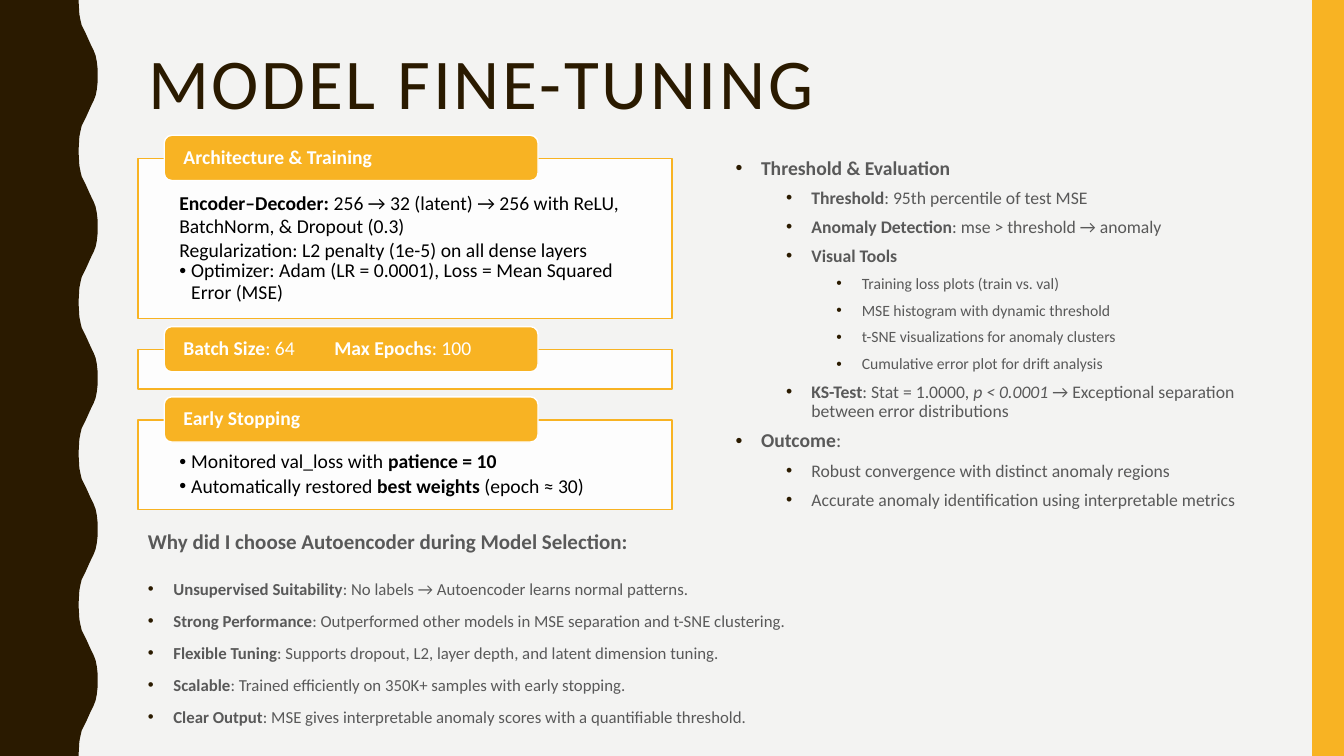
import itertools
from dataclasses import dataclass

import pptx
import pptx.dml.color
import pptx.enum.shapes
import pptx.enum.text
import pptx.oxml
import pptx.oxml.ns
import pptx.util
from pptx.util import Cm

COLORS = {
    "background": "F3F3F2",
    "brown": "2A1A00",
    "amber": "F8B323",
    "white": "FFFFFF",
    "black": "000000",
    "gray": "595959",
}
FONT = "Calibri"
NS = 'xmlns:a="http://schemas.openxmlformats.org/drawingml/2006/main"'
SHAPES = pptx.enum.shapes.MSO_SHAPE
ANCHOR = pptx.enum.text.MSO_ANCHOR

SLIDE_W, SLIDE_H = 33.87, 19.05
LEFT, COLUMN_W = 3.48, 13.46
PANEL_TOP, PANEL_GAP = 3.99, 0.78
TAB_LEFT, TAB_W, TAB_H, TAB_RISE = 4.14, 9.42, 1.14, 0.58
WAVE_PERIOD = 3.81
WAVE_RISE = [
    (1.98, 0), (1.99, 0.18), (2.0, 0.36), (2.03, 0.51), (2.06, 0.64),
    (2.11, 0.74), (2.16, 0.84), (2.21, 0.95), (2.26, 1.06), (2.31, 1.17),
    (2.36, 1.27), (2.41, 1.4), (2.44, 1.55), (2.46, 1.73), (2.46, 1.9),
]


@dataclass
class Run:
    text: str
    bold: bool = False
    italic: bool = False


@dataclass
class Line:
    runs: list[Run]
    level: int = 0
    bullet: bool = True
    size: float = 14
    spacing: float = 0.9
    before: float = 0
    after: float = 0


@dataclass
class Style:
    color: str
    bullet_color: str
    hang: float
    step: float = 1.27


@dataclass
class Panel:
    heading: list[Run]
    height: float
    body: list[Line]


def labelled(label: str, rest: str) -> list[Run]:
    return [Run(label, bold=True), Run(rest)]


def rgb(name: str) -> pptx.dml.color.RGBColor:
    return pptx.dml.color.RGBColor.from_string(COLORS[name])


def add_xml(parent, xml: str) -> None:
    parent.append(pptx.oxml.parse_xml(xml))


def paint(sp, fill: str, line: str | None = None) -> None:
    sp.shadow.inherit = False
    sp.fill.solid()
    sp.fill.fore_color.rgb = rgb(fill)
    if line:
        sp.line.color.rgb = rgb(line)
        sp.line.width = pptx.util.Pt(1)
    else:
        sp.line.fill.background()


def set_frame(tf, margins: tuple, anchor=ANCHOR.TOP) -> None:
    tf.word_wrap = True
    tf.vertical_anchor = anchor
    tf.margin_left, tf.margin_top, tf.margin_right, tf.margin_bottom = map(Cm, margins)


def write(tf, lines: list[Line], style: Style) -> None:
    for i, line in enumerate(lines):
        p = tf.paragraphs[0] if i == 0 else tf.add_paragraph()
        p.alignment = pptx.enum.text.PP_ALIGN.LEFT
        p.level = line.level
        p.line_spacing = line.spacing
        p.space_before = pptx.util.Pt(line.before)
        p.space_after = pptx.util.Pt(line.after)
        if line.bullet:
            ppr = p._p.get_or_add_pPr()
            ppr.set("marL", str(Cm(style.hang + style.step * line.level)))
            ppr.set("indent", str(-Cm(style.hang)))
            add_xml(ppr, f'<a:buClr {NS}><a:srgbClr val="{COLORS[style.bullet_color]}"/></a:buClr>')
            add_xml(ppr, f'<a:buFont {NS} typeface="Arial"/>')
            add_xml(ppr, f'<a:buChar {NS} char="•"/>')
        for run in line.runs:
            r = p.add_run()
            r.text = run.text
            r.font.name = FONT
            r.font.size = pptx.util.Pt(line.size)
            r.font.bold = run.bold
            r.font.italic = run.italic
            r.font.color.rgb = rgb(style.color)


def add_text(s, box: tuple, lines: list[Line], style: Style) -> None:
    tf = s.shapes.add_textbox(*map(Cm, box)).text_frame
    set_frame(tf, (0.25, 0.13, 0.25, 0.13))
    write(tf, lines, style)


def add_panel(s, panel: Panel, top: float) -> None:
    sp = s.shapes.add_shape(SHAPES.RECTANGLE, *map(Cm, (LEFT, top, COLUMN_W, panel.height)))
    paint(sp, "white", "amber")
    color = sp.fill._xPr.find(".//" + pptx.oxml.ns.qn("a:srgbClr"))
    add_xml(color, f'<a:alpha {NS} val="90000"/>')
    set_frame(sp.text_frame, (1.04, 0.81, 1.04, 0.28))
    write(sp.text_frame, panel.body, Style("black", "black", 0.3))

    tab = s.shapes.add_shape(
        SHAPES.ROUNDED_RECTANGLE, *map(Cm, (TAB_LEFT, top - TAB_RISE, TAB_W, TAB_H)))
    paint(tab, "amber", "white")
    set_frame(tab.text_frame, (0.43, 0, 0.43, 0), ANCHOR.MIDDLE)
    write(tab.text_frame, [Line(panel.heading, bullet=False)], Style("white", "white", 0))
    if any("\t" in run.text for run in panel.heading):
        ppr = tab.text_frame.paragraphs[0]._p.get_or_add_pPr()
        add_xml(ppr, f'<a:tabLst {NS}><a:tab pos="{Cm(3.8)}" algn="l"/></a:tabLst>')


def add_wave(s) -> None:
    cycle = WAVE_RISE + [(x, WAVE_PERIOD - y) for x, y in reversed(WAVE_RISE[:-1])]
    edge = [(x, y + n * WAVE_PERIOD) for n in range(5) for x, y in cycle]
    builder = s.shapes.build_freeform(0, 0)
    builder.add_line_segments([(Cm(x), Cm(y)) for x, y in edge + [(0, SLIDE_H)]])
    paint(builder.convert_to_shape(), "brown")


def add_title(s, text: str) -> None:
    title = s.shapes.title
    title.left, title.top, title.width, title.height = map(Cm, (LEFT, 1.07, 28.27, 4.14))
    tf = title.text_frame
    set_frame(tf, (0.25, 0.13, 0.25, 0.13))
    tf.auto_size = pptx.enum.text.MSO_AUTO_SIZE.NONE
    write(tf, [Line([Run(text)], bullet=False, size=51)], Style("brown", "brown", 0))
    tf.paragraphs[0].runs[0].font._element.set("spc", "200")


PANELS = [
    Panel([Run("Architecture & Training", bold=True)], 4.04, [
        Line(labelled("Encoder–Decoder: ",
                      "256 → 32 (latent) → 256 with ReLU, BatchNorm, & Dropout (0.3)"),
             bullet=False, spacing=1),
        Line([Run("Regularization: L2 penalty (1e-5) on all dense layers")], bullet=False, spacing=1),
        Line([Run("Optimizer: Adam (LR = 0.0001), Loss = Mean Squared Error (MSE)")], after=2.1),
    ]),
    Panel(labelled("Batch Size", ": 64\t") + labelled("Max Epochs", ": 100"), 0.99, []),
    Panel([Run("Early Stopping", bold=True)], 2.26, [
        Line([Run("Monitored val_loss with "), Run("patience = 10", bold=True)], after=2.1),
        Line([Run("Automatically restored "), Run("best weights", bold=True), Run(" (epoch ≈ 30)")],
             after=2.1),
    ]),
]
EVALUATION = [
    (0, [Run("Threshold & Evaluation", bold=True)]),
    (1, labelled("Threshold", ": 95th percentile of test MSE")),
    (1, labelled("Anomaly Detection", ": mse > threshold → anomaly")),
    (1, [Run("Visual Tools", bold=True)]),
    (2, [Run("Training loss plots (train vs. val)")]),
    (2, [Run("MSE histogram with dynamic threshold")]),
    (2, [Run("t-SNE visualizations for anomaly clusters")]),
    (2, [Run("Cumulative error plot for drift analysis")]),
    (1, labelled("KS-Test", ": Stat = 1.0000, ") + [
        Run("p < 0.0001", italic=True),
        Run(" → Exceptional separation between error distributions")]),
    (0, labelled("Outcome", ":")),
    (1, [Run("Robust convergence with distinct anomaly regions")]),
    (1, [Run("Accurate anomaly identification using interpretable metrics")]),
]
LEVEL_SIZES = (14, 12.6, 11.2)
REASONS = [
    ("Unsupervised Suitability", "No labels → Autoencoder learns normal patterns."),
    ("Strong Performance", "Outperformed other models in MSE separation and t-SNE clustering."),
    ("Flexible Tuning", "Supports dropout, L2, layer depth, and latent dimension tuning."),
    ("Scalable", "Trained efficiently on 350K+ samples with early stopping."),
    ("Clear Output", "MSE gives interpretable anomaly scores with a quantifiable threshold."),
]


def main() -> None:
    prs = pptx.Presentation()
    prs.slide_width, prs.slide_height = Cm(SLIDE_W), Cm(SLIDE_H)
    s = prs.slides.add_slide(prs.slide_layouts[5])
    s.background.fill.solid()
    s.background.fill.fore_color.rgb = rgb("background")

    add_wave(s)
    paint(s.shapes.add_shape(SHAPES.RECTANGLE, *map(Cm, (33.07, 0, 0.8, SLIDE_H))), "amber")
    add_title(s, "MODEL FINE-TUNING")

    steps = [panel.height + PANEL_GAP for panel in PANELS[:-1]]
    for panel, top in zip(PANELS, itertools.accumulate(steps, initial=PANEL_TOP)):
        add_panel(s, panel, top)

    notes = Style("gray", "brown", 0.64)
    add_text(s, (18.29, 3.86, COLUMN_W, 9.98), [
        Line(runs, level, size=LEVEL_SIZES[level], before=7) for level, runs in EVALUATION], notes)
    add_text(s, (LEFT, 14.4, 17.91, 4.65), [
        Line(labelled(label, f": {reason}"), size=12, spacing=1.1, before=7)
        for label, reason in REASONS], notes)
    add_text(s, (LEFT, 13.13, COLUMN_W, 0.99), [
        Line([Run("Why did I choose Autoencoder during Model Selection:", bold=True)],
             bullet=False, size=15, spacing=1.1, before=7)], notes)
    prs.save("out.pptx")


if __name__ == "__main__":
    main()
